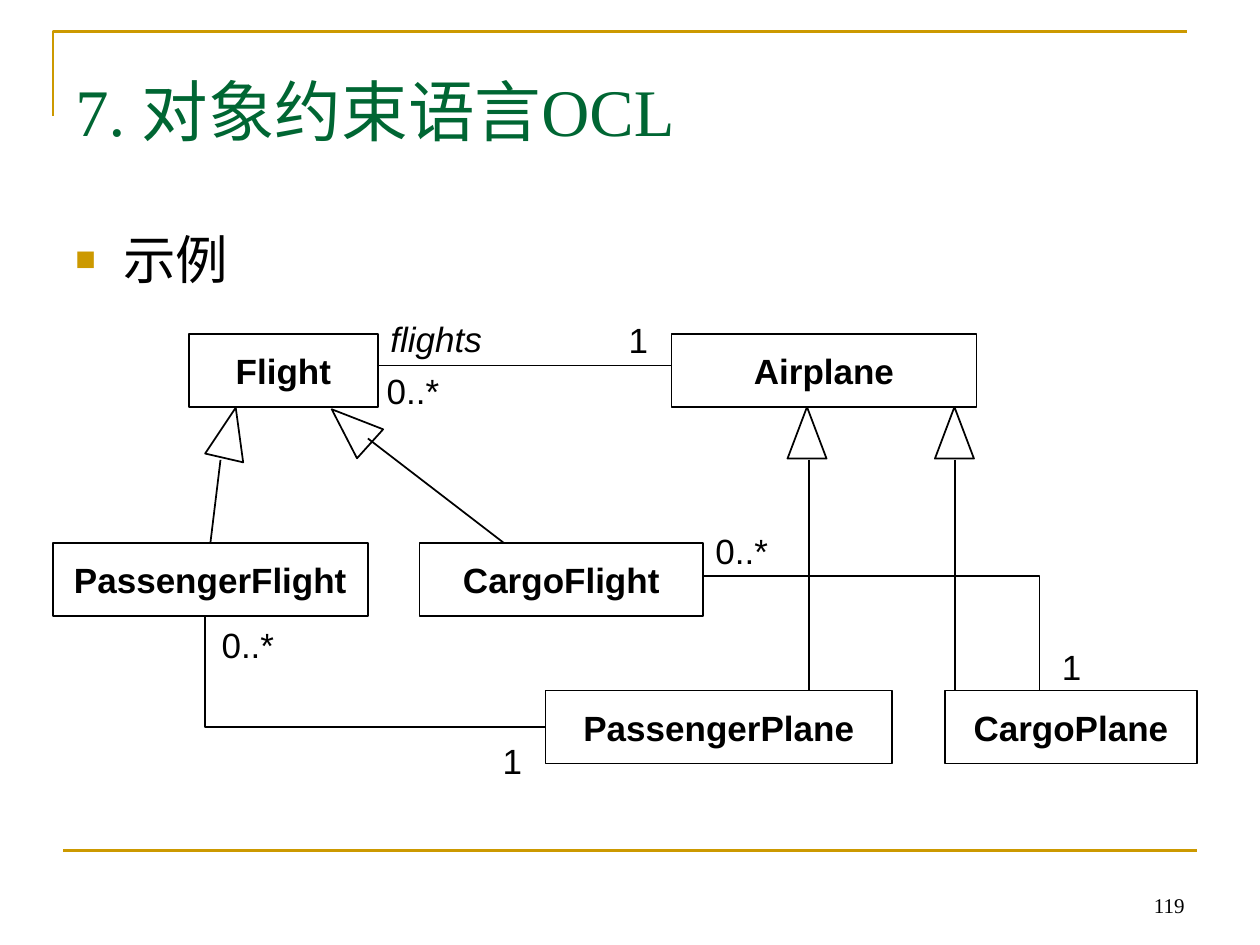
from lxml import etree
from pptx import Presentation
from pptx.dml.color import RGBColor
from pptx.enum.shapes import MSO_CONNECTOR as CONN, MSO_SHAPE as SHAPE
from pptx.enum.text import MSO_ANCHOR as ANCHOR, MSO_AUTO_SIZE as AUTO, PP_ALIGN as ALIGN
from pptx.oxml.ns import qn
from pptx.util import Inches, Pt

COLORS = {"gold": "CC9900", "green": "006633", "black": "000000"}
SERIF, SANS = "Times New Roman", "Arial"
BOX_H = 0.58
LABEL_H = 0.43

# Class boxes: name -> left, top, width
CLASSES = {
    "Flight": (1.5, 2.65, 1.5),
    "Airplane": (5.33, 2.65, 2.42),
    "CargoFlight": (3.33, 4.31, 2.25),
    "PassengerFlight": (0.42, 4.31, 2.5),
    "PassengerPlane": (4.33, 5.48, 2.75),
    "CargoPlane": (7.5, 5.48, 2),
}
# Inheritance: triangle left, top, rotation; line start and end; subclass joined at its top
INHERITANCE = [
    (1.67, 3.23, 13, (1.75, 3.65), (1.67, 4.31), "PassengerFlight"),
    (2.63, 3.18, 312, (2.92, 3.48), (4, 4.31), None),
    (6.25, 3.23, 0, (6.42, 3.65), (6.42, 5.48), None),
    (7.42, 3.23, 0, (7.58, 3.65), (7.58, 5.48), None),
]
# Association labels: text, left, top, width, italic
LABELS = [
    ("flights", 3, 2.47, 0.93, True),
    ("0..*", 2.97, 2.88, 0.62, False),
    ("1", 4.89, 2.48, 0.36, False),
    ("0..*", 5.58, 4.15, 0.62, False),
    ("1", 8.33, 5.07, 0.36, False),
    ("0..*", 1.66, 4.9, 0.62, False),
    ("1", 3.89, 5.82, 0.36, False),
]


def rgb(name):
    return RGBColor.from_string(COLORS[name])


def set_line(sp, color, width):
    sp.line.color.rgb = rgb(color)
    sp.line.width = Pt(width)


def set_text(sp, text, size, color="black", font=SANS, align=ALIGN.LEFT,
             anchor=ANCHOR.TOP, wrap=True, bold=False, italic=False):
    tf = sp.text_frame
    tf.word_wrap = wrap
    tf.vertical_anchor = anchor
    p = tf.paragraphs[0]
    p.alignment = align
    r = p.add_run()
    r.text = text
    formats = {"name": font, "size": Pt(size), "bold": bold, "italic": italic}
    for key, value in formats.items():
        setattr(r.font, key, value)
    r.font.color.rgb = rgb(color)
    return p


def add_text(s, box, text, size, **formats):
    sp = s.shapes.add_textbox(*map(Inches, box))
    return sp, set_text(sp, text, size, **formats)


def add_bullet(p, indent):
    pPr = p._p.get_or_add_pPr()
    pPr.set("marL", str(Inches(indent)))
    pPr.set("indent", str(-Inches(indent)))
    color = etree.SubElement(pPr, qn("a:buClr"))
    etree.SubElement(color, qn("a:srgbClr"), val=COLORS["gold"])
    etree.SubElement(pPr, qn("a:buSzPct"), val="65000")
    etree.SubElement(pPr, qn("a:buFont"), typeface=SANS)
    etree.SubElement(pPr, qn("a:buChar"), char="■")


def add_outline(s, kind, box):
    sp = s.shapes.add_shape(kind, *map(Inches, box))
    sp.shadow.inherit = False
    sp.fill.background()
    set_line(sp, "black", 1)
    return sp


def add_class(s, name):
    left, top, width = CLASSES[name]
    sp = add_outline(s, SHAPE.RECTANGLE, (left, top, width, BOX_H))
    set_text(sp, name, 20, align=ALIGN.CENTER, anchor=ANCHOR.MIDDLE, wrap=False, bold=True)
    return sp


def add_line(s, start, end, color="black", width=1):
    cx = s.shapes.add_connector(CONN.STRAIGHT, *map(Inches, (*start, *end)))
    set_line(cx, color, width)
    etree.SubElement(cx._element.spPr, qn("a:effectLst"))
    return cx


def add_path(s, points, color="black", width=1):
    first, *rest = [(Inches(x), Inches(y)) for x, y in points]
    builder = s.shapes.build_freeform(*first)
    builder.add_line_segments(rest, close=False)
    sp = builder.convert_to_shape()
    sp.shadow.inherit = False
    sp.fill.background()
    set_line(sp, color, width)


def main():
    prs = Presentation()
    prs.slide_width, prs.slide_height = Inches(10), Inches(7.5)
    s = prs.slides.add_slide(prs.slide_layouts[6])

    # Frame lines and page number
    add_path(s, [(0.42, 0.92), (0.42, 0.25), (9.42, 0.25)], "gold", 1.5)
    add_line(s, (0.5, 6.75), (9.5, 6.75), "gold", 1.5)
    add_text(s, (7.17, 6.83, 2.33, 0.5), "119", 12, font=SERIF,
             align=ALIGN.RIGHT, anchor=ANCHOR.BOTTOM)

    # Title and bullet
    add_text(s, (0.5, 0.25, 9, 1.25), "7. 对象约束语言OCL", 38, color="green",
             font=SERIF, anchor=ANCHOR.MIDDLE)
    _, p = add_text(s, (0.5, 1.75, 9, 0.7), "示例", 30)
    add_bullet(p, 0.38)

    # Classes
    boxes = {name: add_class(s, name) for name in CLASSES}

    # Inheritance
    for left, top, rotation, start, end, subclass in INHERITANCE:
        cx = add_line(s, start, end)
        if subclass:
            cx.end_connect(boxes[subclass], 0)
        triangle = add_outline(s, SHAPE.ISOSCELES_TRIANGLE, (left, top, 0.31, 0.41))
        triangle.rotation = rotation

    # Associations
    add_line(s, (3, 2.9), (5.33, 2.9))
    add_path(s, [(1.63, 4.9), (1.63, 5.77), (4.33, 5.77)])
    add_path(s, [(5.58, 4.57), (8.25, 4.57), (8.25, 5.48)])
    for text, left, top, width, italic in LABELS:
        sp, _ = add_text(s, (left, top, width, LABEL_H), text, 20, wrap=False, italic=italic)
        sp.text_frame.auto_size = AUTO.SHAPE_TO_FIT_TEXT

    prs.save("out.pptx")


if __name__ == "__main__":
    main()
